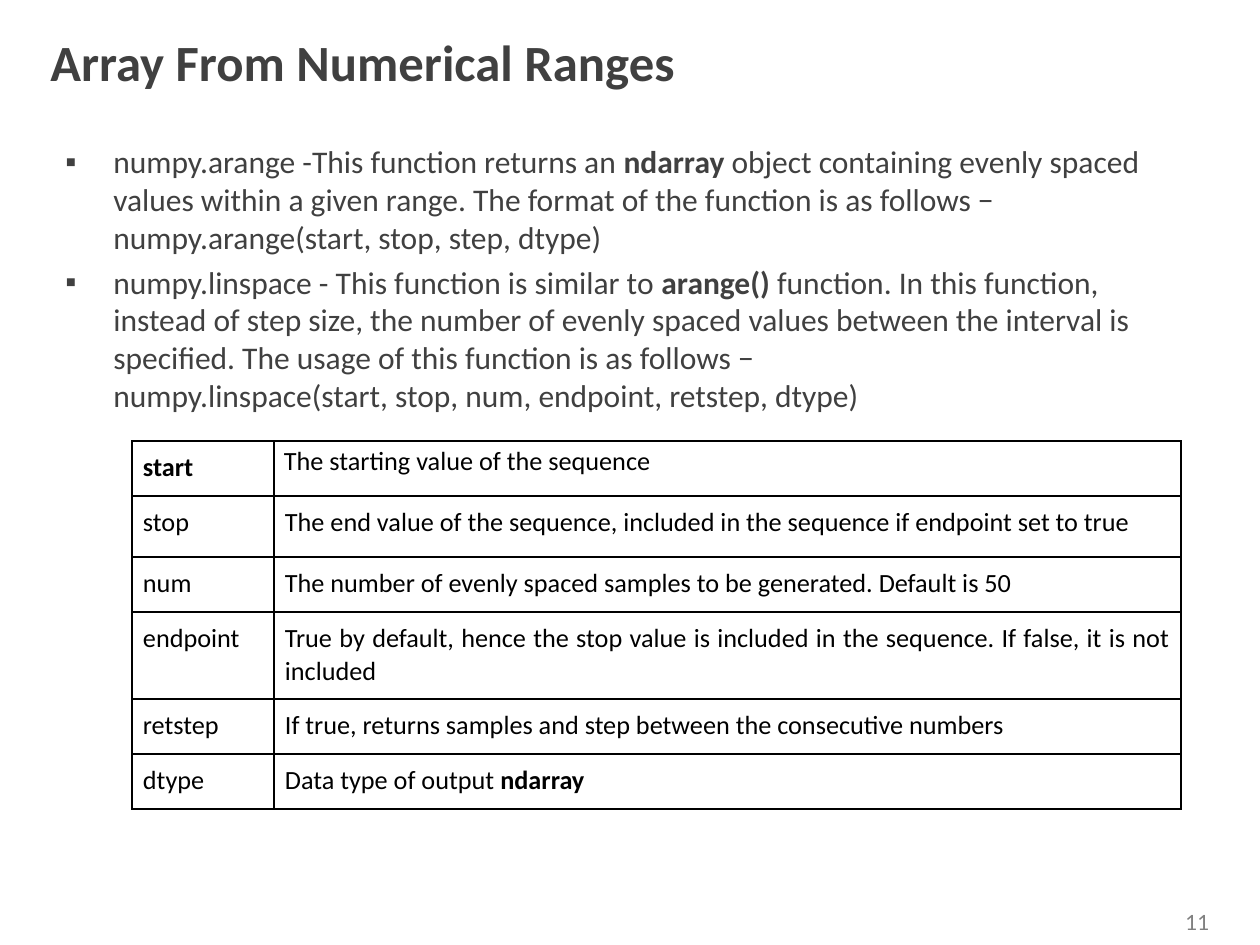
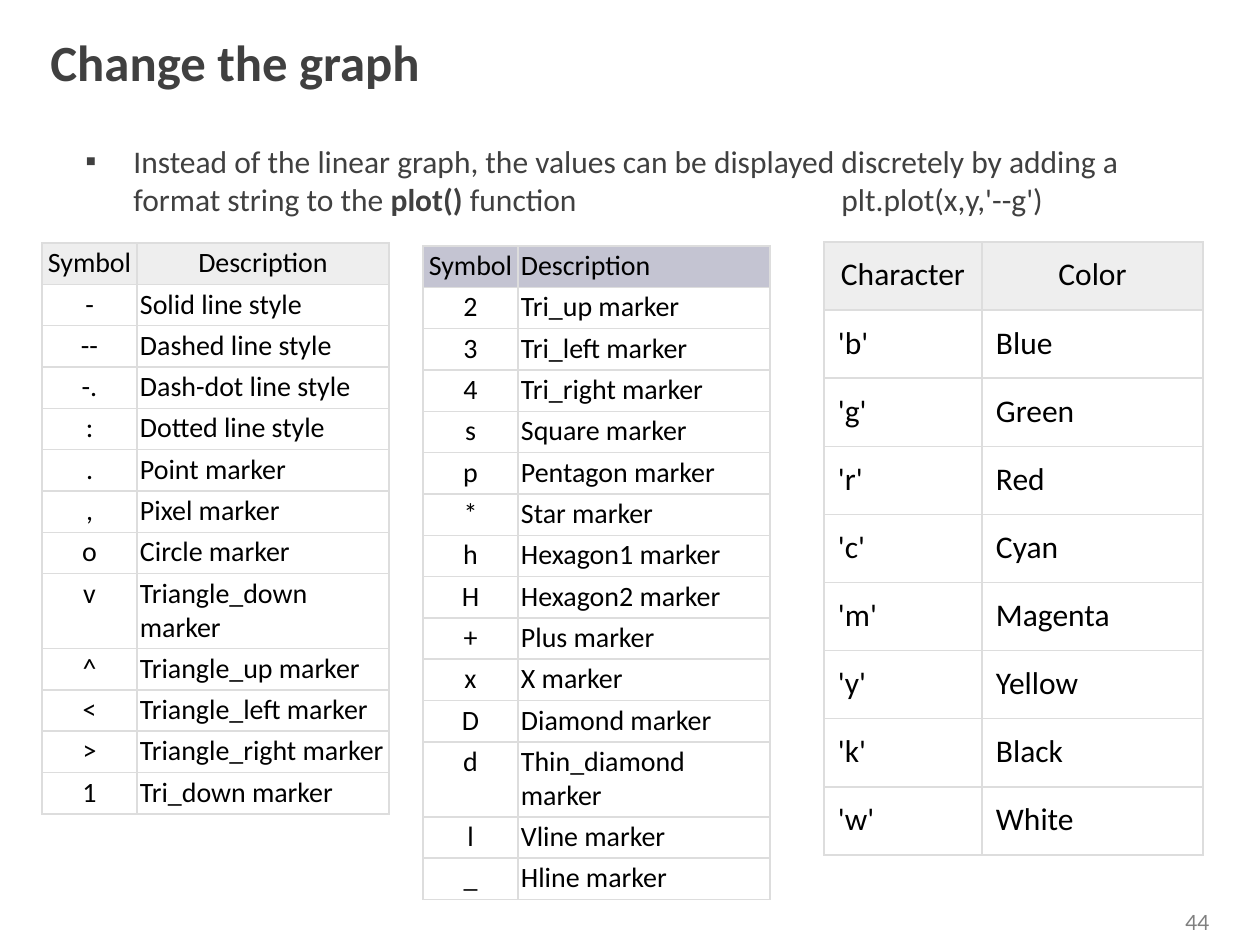
"""Build two lesson slides on array ranges and plot format strings."""
from pptx import Presentation
from pptx.dml.color import RGBColor
from pptx.enum.text import MSO_ANCHOR, PP_ALIGN
from pptx.oxml import parse_xml
from pptx.oxml.ns import nsdecls
from pptx.util import Pt

PX = 914400 / 126
COLORS = {"ink": "404040", "page": "808080", "text": "000000",
          "rule": "DDDDDD", "gray": "EEEEEE", "lilac": "C4C4D2"}
ALIGN = {"l": PP_ALIGN.LEFT, "c": PP_ALIGN.CENTER, "j": PP_ALIGN.JUSTIFY}
TITLE = {"size": 29, "color": "ink", "bold": True}
BODY = {"size": 18, "color": "ink"}
PAGE = {"size": 12, "color": "page", "name": "Lato"}
TAB = 756
HANG = 48

PARAMS = [
    ("**start**", "The starting value of the sequence"),
    ("stop", "The end value of the sequence, included in the sequence if endpoint set to true"),
    ("num", "The number of evenly spaced samples to be generated. Default is 50"),
    ("endpoint", "True by default, hence the stop value is included in the sequence. "
                 "If false, it is not included"),
    ("retstep", "If true, returns samples and step between the consecutive numbers"),
    ("dtype", "Data type of output **ndarray**"),
]
LINES = [
    ("Symbol", "Description"), ("-", "Solid line style"), ("--", "Dashed line style"),
    ("-.", "Dash-dot line style"), (":", "Dotted line style"), (".", "Point marker"),
    (",", "Pixel marker"), ("o", "Circle marker"), ("v", "Triangle_down marker"),
    ("^", "Triangle_up marker"), ("<", "Triangle_left marker"),
    (">", "Triangle_right marker"), ("1", "Tri_down marker"),
]
MARKS = [
    ("Symbol", "Description"), ("2", "Tri_up marker"), ("3", "Tri_left marker"),
    ("4", "Tri_right marker"), ("s", "Square marker"), ("p", "Pentagon marker"),
    ("*", "Star marker"), ("h", "Hexagon1 marker"), ("H", "Hexagon2 marker"),
    ("+", "Plus marker"), ("x", "X marker"), ("D", "Diamond marker"),
    ("d", "Thin_diamond marker"), ("l", "Vline marker"), ("_", "Hline marker"),
]
HUES = [
    ("Character", "Color"), ("'b'", "Blue"), ("'g'", "Green"), ("'r'", "Red"),
    ("'c'", "Cyan"), ("'m'", "Magenta"), ("'y'", "Yellow"), ("'k'", "Black"),
    ("'w'", "White"),
]
SYMBOL = {"cols": (95, 252), "size": 16, "pad": (3, 3), "align": "cj", "rule": "rule"}
SLIDES = [
    {"title": "Array From Numerical Ranges", "page": "11", "body": (53, 136, 1134, 724),
     "points": [
         "numpy.arange -This function returns an **ndarray** object containing evenly "
         "spaced values within a given range. The format of the function is as follows −\n"
         "numpy.arange(start, stop, step, dtype)",
         "numpy.linspace - This function is similar to **arange()** function. In this "
         "function, instead of step size, the number of evenly spaced values between the "
         "interval is specified. The usage of this function is as follows −\n"
         "numpy.linspace(start, stop, num, endpoint, retstep, dtype)"],
     "tables": [{"rows": PARAMS, "at": (132, 441), "cols": (142, 907), "high": 368,
                 "tall": {1: 61, 3: 87}, "size": 15, "pad": (11, 11), "align": "lj",
                 "rule": "text", "odd": {(0, 1): ((10, 5), "l")}}]},
    {"title": "Change the graph", "page": "44", "body": (73, 136, 1134, 315),
     "points": [
         "Instead of the linear graph, the values can be displayed discretely by adding a "
         "format string to the **plot()** function\tplt.plot(x,y,'--g')"],
     "tables": [
         {**SYMBOL, "rows": LINES, "at": (42, 243), "high": 571, "tall": {8: 75},
          "head": "gray", "top": "cc"},
         {**SYMBOL, "rows": MARKS, "at": (423, 246), "high": 654, "tall": {12: 75},
          "head": "lilac", "top": "cj"},
         {"rows": HUES, "at": (824, 242), "cols": (158, 221), "high": 613, "size": 18,
          "pad": (14, 14), "align": "ll", "rule": "rule", "head": "gray", "top": "cc"}]},
]


def px(n):
    return round(n * PX)


def rgb(key):
    return RGBColor.from_string(COLORS[key])


def write(para, text, size, color, bold=False, name="Calibri"):
    for i, part in enumerate(text.split("**")):
        for j, line in enumerate(part.split("\n")):
            if j:
                para.add_line_break()
            if not line:
                continue
            run = para.add_run()
            run.text = line
            look = {"size": Pt(size), "bold": bold or i % 2 == 1, "name": name}
            for key, value in look.items():
                setattr(run.font, key, value)
            run.font.color.rgb = rgb(color)


def add_box(slide, box):
    frame = slide.shapes.add_textbox(*map(px, box)).text_frame
    frame.word_wrap = True
    return frame


def add_points(frame, points):
    for i, text in enumerate(points):
        para = frame.add_paragraph() if i else frame.paragraphs[0]
        para.space_before = Pt(4)
        props = para._p.get_or_add_pPr()
        props.set("marL", str(px(HANG)))
        props.set("indent", str(-px(HANG)))
        for xml in ('<a:buFont {} typeface="Arial"/>', '<a:buChar {} char="▪"/>',
                    f'<a:tabLst {{}}><a:tab pos="{px(TAB)}" algn="l"/></a:tabLst>'):
            props.append(parse_xml(xml.format(nsdecls("a"))))
        write(para, text, **BODY)


def add_edges(cell, color):
    props = cell._tc.get_or_add_tcPr()
    for side in "LRTB":
        props.append(parse_xml(
            f'<a:ln{side} {nsdecls("a")} w="12700"><a:solidFill>'
            f'<a:srgbClr val="{COLORS[color]}"/></a:solidFill></a:ln{side}>'))


def add_grid(slide, spec):
    rows, cols, high = spec["rows"], spec["cols"], spec["high"]
    tall = spec.get("tall", {})
    step = (high - sum(tall.values())) / (len(rows) - len(tall))
    grid = slide.shapes.add_table(
        len(rows), len(cols), *map(px, (*spec["at"], sum(cols), high))).table
    grid.first_row = grid.horz_banding = False
    for col, wide in zip(grid.columns, cols):
        col.width = px(wide)
    for r, row in enumerate(rows):
        grid.rows[r].height = px(tall.get(r, step))
        head = r == 0 and spec.get("head")
        aligns = spec["top"] if head else spec["align"]
        for c, text in enumerate(row):
            cell = grid.cell(r, c)
            pad, align = spec.get("odd", {}).get((r, c), (spec["pad"], aligns[c]))
            for side, gap in zip(("left", "right", "top", "bottom"),
                                 (pad[0], pad[0], pad[1], pad[1])):
                setattr(cell, f"margin_{side}", px(gap))
            add_edges(cell, spec["rule"])
            if head:
                cell.fill.solid()
                cell.fill.fore_color.rgb = rgb(head)
            else:
                cell.fill.background()
            para = cell.text_frame.paragraphs[0]
            para.alignment = ALIGN[align]
            write(para, text, spec["size"], "text")


def add_page(deck, data):
    slide = deck.slides.add_slide(deck.slide_layouts[6])
    foot = add_box(slide, (1166, 903, 63, 38)).paragraphs[0]
    foot.alignment = PP_ALIGN.CENTER
    write(foot, data["page"], **PAGE)
    title = add_box(slide, (38, 21, 1179, 80))
    title.vertical_anchor = MSO_ANCHOR.MIDDLE
    write(title.paragraphs[0], data["title"], **TITLE)
    add_points(add_box(slide, data["body"]), data["points"])
    for spec in data["tables"]:
        add_grid(slide, spec)


def main():
    deck = Presentation()
    deck.slide_width, deck.slide_height = px(1260), px(945)
    for data in SLIDES:
        add_page(deck, data)
    deck.save("out.pptx")


if __name__ == "__main__":
    main()
